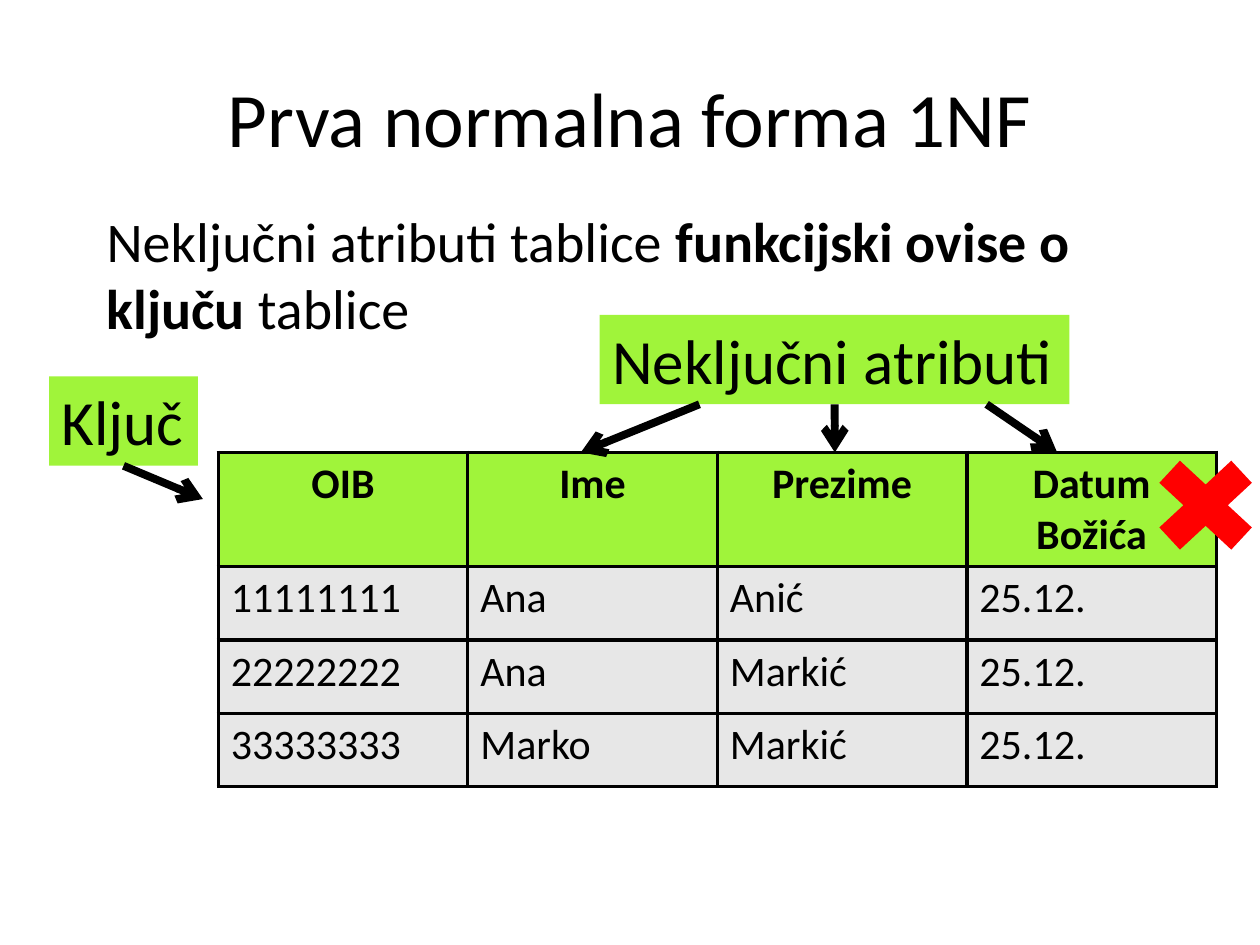
from lxml import etree
from pptx import Presentation
from pptx.dml.color import RGBColor
from pptx.enum.shapes import MSO_CONNECTOR, MSO_SHAPE
from pptx.enum.text import MSO_ANCHOR, MSO_AUTO_SIZE, PP_ALIGN
from pptx.oxml.ns import qn
from pptx.util import Cm, Pt

BLACK = RGBColor(0, 0, 0)
GREEN = RGBColor(0xA0, 0xF4, 0x3A)
GREY = RGBColor(0xE7, 0xE7, 0xE7)
RED = RGBColor(0xFF, 0, 0)
FONT = "Calibri"
LEFT, CENTER = PP_ALIGN.LEFT, PP_ALIGN.CENTER
RECT, CROSS = MSO_SHAPE.RECTANGLE, MSO_SHAPE.MATH_MULTIPLY
STRAIGHT = MSO_CONNECTOR.STRAIGHT
BOTTOM = 2

TITLE = "Prva normalna forma 1NF"
RULE = [("Neključni atributi tablice ", False),
        ("funkcijski ovise o ključu ", True),
        ("tablice", False)]
ROWS = [("OIB", "Ime", "Prezime", "Datum Božića"),
        ("11111111", "Ana", "Anić", "25.12."),
        ("22222222", "Ana", "Markić", "25.12."),
        ("33333333", "Marko", "Markić", "25.12.")]

# All lengths are in centimetres.
GRID_X, GRID_Y, COL_W = 4.4, 9.12, 5.03
HEAD_H, ROW_H = 2.3, 1.48
KEY = ("Ključ", (0.99, 7.59, 3, 1.8))
OTHERS = ("Neključni atributi", (12.09, 6.35, 9.47, 1.8))
LABEL_END = 8.15
SIDE_ARROWS = [((14.1, LABEL_END), (11.71, GRID_Y)),
               ((19.89, LABEL_END), (21.31, GRID_Y))]
MID_X = 16.83
KEY_TIP = (4.09, 10.06)
CROSS_BOX = (22.91, 8.89, 2.79, 2.59)


def cm(nums):
    return [Cm(n) for n in nums]


def style(par, size, align=LEFT, bold=None):
    par.alignment = align
    for run in par.runs:
        font = run.font
        font.name, font.size = FONT, Pt(size)
        font.color.rgb = BLACK
        if bold is not None:
            font.bold = bold


def add_block(slide, kind, box, color):
    shape = slide.shapes.add_shape(kind, *cm(box))
    shape.shadow.inherit = False
    shape.fill.solid()
    shape.fill.fore_color.rgb = color
    shape.line.fill.background()
    return shape


def add_label(slide, text, box):
    shape = add_block(slide, RECT, box, GREEN)
    frame = shape.text_frame
    frame.text = text
    frame.word_wrap = False
    frame.auto_size = MSO_AUTO_SIZE.SHAPE_TO_FIT_TEXT
    frame.vertical_anchor = MSO_ANCHOR.TOP
    style(frame.paragraphs[0], 36)
    return shape


def add_arrow(slide, start, end, source=None):
    """Draw an arrow; a source shape is joined at its bottom middle."""
    arrow = slide.shapes.add_connector(STRAIGHT, *cm(start + end))
    if source is not None:
        arrow.begin_connect(source, BOTTOM)
    arrow.line.color.rgb = BLACK
    arrow.line.width = Pt(4.5)
    line = arrow.line._get_or_add_ln()
    etree.SubElement(line, qn("a:tailEnd"), type="arrow")
    etree.SubElement(arrow._element.spPr, qn("a:effectLst"))


def set_border(cell):
    props = cell._tc.get_or_add_tcPr()
    for place, side in enumerate(("lnL", "lnR", "lnT", "lnB")):
        line = etree.Element(qn("a:" + side), w=str(Pt(2.25)))
        fill = etree.SubElement(line, qn("a:solidFill"))
        etree.SubElement(fill, qn("a:srgbClr"), val=str(BLACK))
        props.insert(place, line)


def add_grid(slide):
    heights = [HEAD_H] + [ROW_H] * (len(ROWS) - 1)
    cols = len(ROWS[0])
    box = (GRID_X, GRID_Y, COL_W * cols, sum(heights))
    table = slide.shapes.add_table(len(ROWS), cols, *cm(box)).table
    for r, row in enumerate(ROWS):
        head = r == 0
        table.rows[r].height = Cm(heights[r])
        for c, text in enumerate(row):
            cell = table.cell(r, c)
            cell.text = text
            cell.fill.solid()
            cell.fill.fore_color.rgb = GREEN if head else GREY
            style(cell.text_frame.paragraphs[0], 24,
                  CENTER if head else LEFT, head)
            set_border(cell)


def add_rule(slide):
    frame = slide.shapes.add_textbox(*cm((1.9, 4.04, 21, 3))).text_frame
    frame.word_wrap = True
    par = frame.paragraphs[0]
    for text, bold in RULE:
        run = par.add_run()
        run.text = text
        run.font.bold = bold
    style(par, 32)


def main():
    deck = Presentation()
    deck.slide_width, deck.slide_height = cm((25.4, 19.05))
    slide = deck.slides.add_slide(deck.slide_layouts[5])

    title = slide.shapes.title
    title.left, title.top, title.width, title.height = cm(
        (1.27, 0.76, 22.86, 3.18))
    title.text_frame.text = TITLE
    style(title.text_frame.paragraphs[0], 44, CENTER)

    add_rule(slide)
    add_grid(slide)
    key = add_label(slide, *KEY)
    others = add_label(slide, *OTHERS)
    add_arrow(slide, (2.49, 9.39), KEY_TIP, key)
    add_arrow(slide, (MID_X, LABEL_END), (MID_X, GRID_Y), others)
    for start, end in SIDE_ARROWS:
        add_arrow(slide, start, end)
    add_block(slide, CROSS, CROSS_BOX, RED)
    deck.save("out.pptx")


if __name__ == "__main__":
    main()
